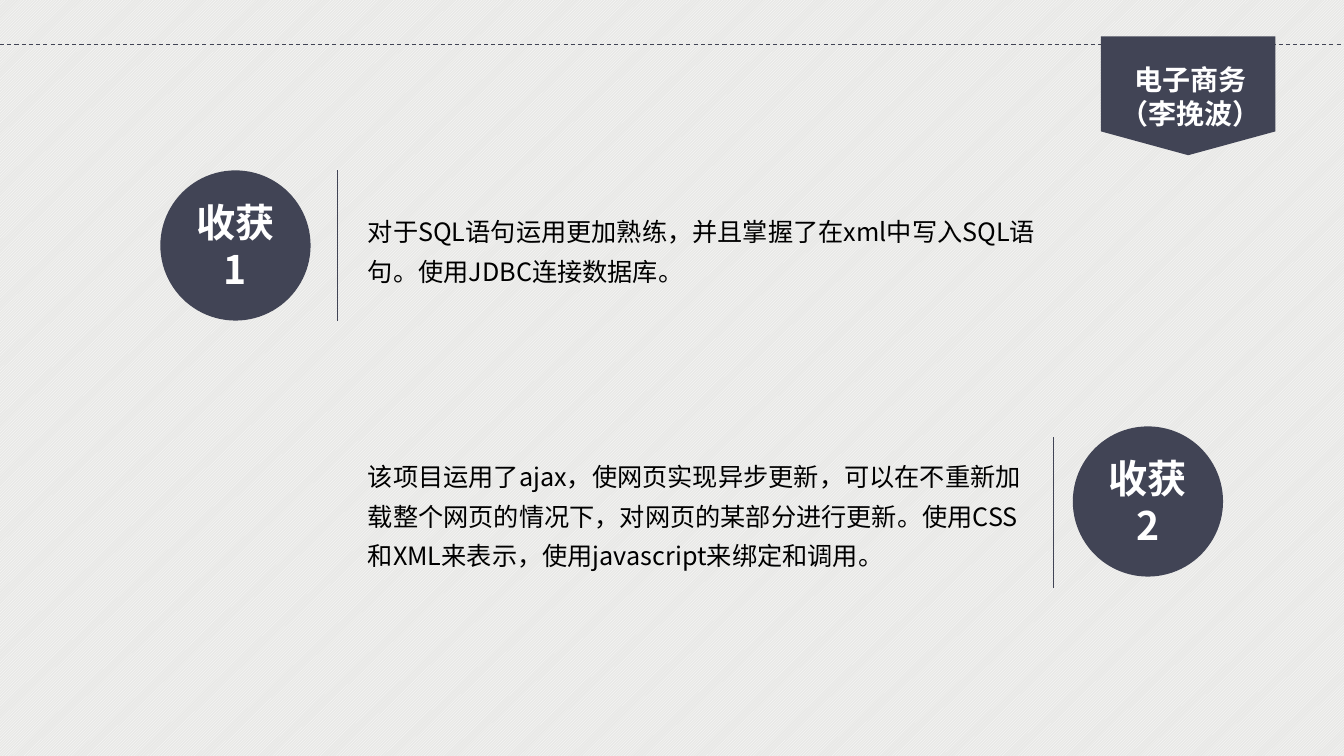
import pptx
import pptx.dml.color
import pptx.enum.dml
import pptx.enum.shapes
import pptx.enum.text
import pptx.oxml
import pptx.oxml.ns
import pptx.util
from pptx.util import Inches

COLORS = {"navy": "414455", "white": "FFFFFF", "black": "000000", "paper": "E8E8E6"}
FONT = "Noto Sans CJK SC"
CIRCLE = 1.49
BODY_LEFT, BODY_WIDTH, BODY_HEIGHT = 3.55, 6.89, 1.28

# label, circle left and top, divider x and top, body top, body
GAINS = [
    ("收获1", 1.59, 1.69, 3.35, 1.69, 2.01,
     "对于SQL语句运用更加熟练，并且掌握了在xml中写入SQL语句。使用JDBC连接数据库。"),
    ("收获2", 10.64, 4.23, 10.45, 4.34, 4.44,
     "该项目运用了ajax，使网页实现异步更新，可以在不重新加载整个网页的情况下，"
     "对网页的某部分进行更新。使用CSS和XML来表示，使用javascript来绑定和调用。"),
]


def rgb(name):
    return pptx.dml.color.RGBColor.from_string(COLORS[name])


class SlideBuilder:
    """Holds the slide and draws its elements in one style."""

    def __init__(self, slide):
        self.slide = slide

    def background(self):
        fill = self.slide.background.fill
        fill.patterned()
        fill.pattern = pptx.enum.dml.MSO_PATTERN.LIGHT_UPWARD_DIAGONAL
        fill.fore_color.rgb = rgb("white")
        fill.back_color.rgb = rgb("paper")

    def line(self, x1, y1, x2, y2, dash=None):
        connector = self.slide.shapes.add_connector(
            pptx.enum.shapes.MSO_CONNECTOR.STRAIGHT,
            Inches(x1), Inches(y1), Inches(x2), Inches(y2))
        connector.line.color.rgb = rgb("navy")
        connector.line.width = pptx.util.Pt(0.75)
        connector.line.dash_style = dash
        connector._element.spPr.append(
            pptx.oxml.parse_xml(f"<a:effectLst {pptx.oxml.ns.nsdecls('a')}/>"))

    def solid(self, kind, left, top, width, height):
        shape = self.slide.shapes.add_shape(
            kind, Inches(left), Inches(top), Inches(width), Inches(height))
        shape.shadow.inherit = False
        shape.fill.solid()
        shape.fill.fore_color.rgb = rgb("navy")
        shape.line.fill.background()
        return shape

    def set_text(self, frame, text, size, color, bold=False, centered=False, spacing=None):
        frame.word_wrap = True
        paragraph = frame.paragraphs[0]
        paragraph.text = text
        align = pptx.enum.text.PP_ALIGN
        paragraph.alignment = align.CENTER if centered else align.LEFT
        paragraph.line_spacing = spacing
        font = paragraph.font
        font.name, font.size, font.bold = FONT, pptx.util.Pt(size), bold
        font.color.rgb = rgb(color)
        # East Asian glyphs take their typeface from a:ea, next to a:latin
        latin = paragraph._p.pPr.find(".//" + pptx.oxml.ns.qn("a:latin"))
        latin.addnext(pptx.oxml.parse_xml(
            f'<a:ea {pptx.oxml.ns.nsdecls("a")} typeface="{FONT}"/>'))

    def text(self, left, top, width, height, text, size, color, **style):
        box = self.slide.shapes.add_textbox(
            Inches(left), Inches(top), Inches(width), Inches(height))
        self.set_text(box.text_frame, text, size, color, **style)

    def circle(self, left, top, label):
        circle = self.solid(pptx.enum.shapes.MSO_SHAPE.OVAL, left, top, CIRCLE, CIRCLE)
        circle.text_frame.vertical_anchor = pptx.enum.text.MSO_ANCHOR.MIDDLE
        self.set_text(circle.text_frame, label, 28, "white", bold=True, centered=True)


def main():
    deck = pptx.Presentation()
    deck.slide_width, deck.slide_height = Inches(13.33), Inches(7.5)
    builder = SlideBuilder(deck.slides.add_slide(deck.slide_layouts[6]))

    builder.background()
    builder.line(0, 0.44, 13.33, 0.44, pptx.enum.dml.MSO_LINE.DASH)
    builder.solid(pptx.enum.shapes.MSO_SHAPE.FLOWCHART_OFFPAGE_CONNECTOR,
                  10.92, 0.36, 1.73, 1.18)
    for label, left, top, divider_x, divider_top, body_top, body in GAINS:
        builder.circle(left, top, label)
        builder.text(BODY_LEFT, body_top, BODY_WIDTH, BODY_HEIGHT, body, 18, "black",
                     spacing=1.3)
        builder.line(divider_x, divider_top, divider_x, divider_top + CIRCLE)
    builder.text(10.96, 0.57, 1.69, 0.77, "电子商务（李挽波）", 20, "white",
                 bold=True, centered=True)

    deck.save("out.pptx")


if __name__ == "__main__":
    main()
